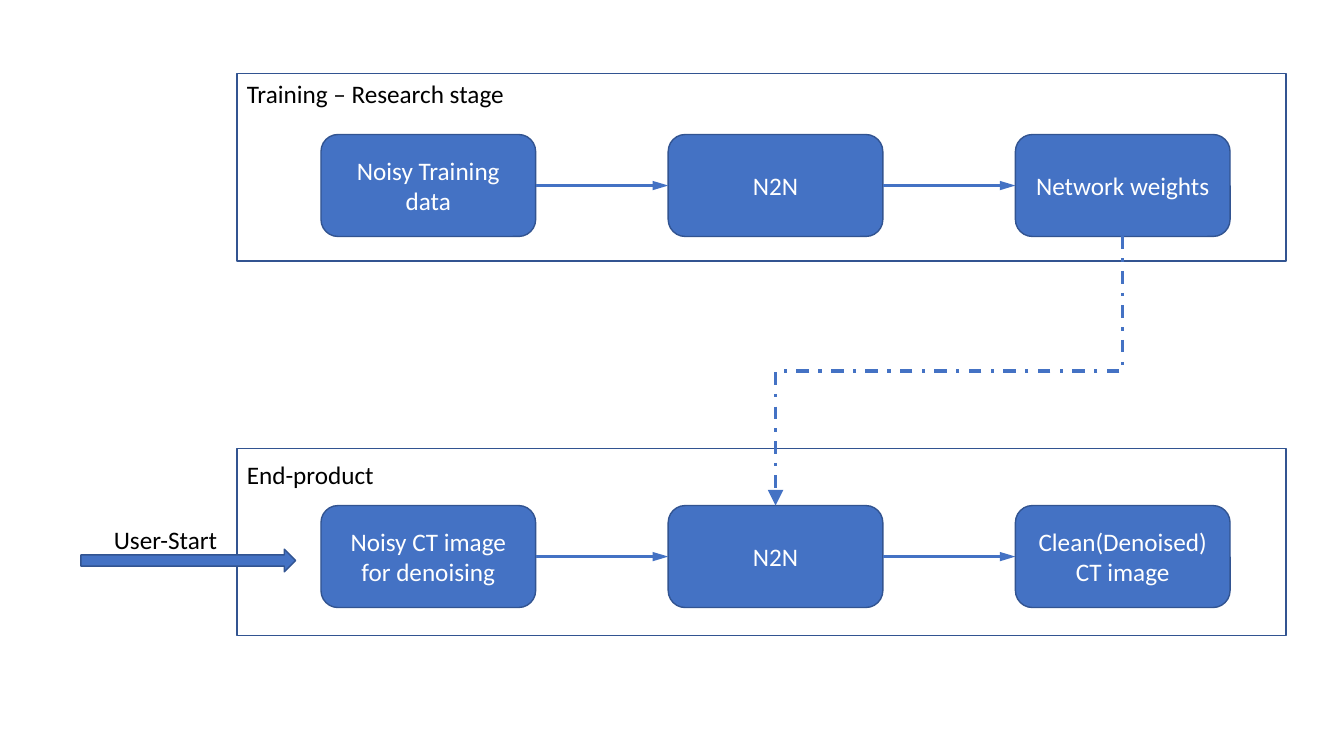
from lxml.etree import SubElement
from pptx import Presentation
from pptx.dml.color import RGBColor
from pptx.enum.dml import MSO_LINE
from pptx.enum.shapes import MSO_CONNECTOR, MSO_SHAPE
from pptx.enum.text import MSO_ANCHOR, MSO_AUTO_SIZE, PP_ALIGN
from pptx.oxml.ns import qn
from pptx.util import Cm, Pt

BLUE, EDGE, WHITE, BLACK = "4472C4", "325491", "FFFFFF", "000000"
BOX_LEFT, BOX_WIDTH, BOX_HEIGHT, BOX_PITCH = 8.09, 5.41, 2.57, 8.75
PANEL_LEFT, PANEL_WIDTH, PANEL_HEIGHT = 5.97, 26.44, 4.72
TOP, LEFT, BOTTOM, RIGHT = range(4)  # connection sites of a box


def write(shape, text, color, align):
    """Put one 18 pt paragraph into a shape."""
    shape.text_frame.word_wrap = True
    para = shape.text_frame.paragraphs[0]
    para.alignment = align
    span = para.add_run()
    span.text = text
    span.font.color.rgb = RGBColor.from_string(color)
    for name, value in {"name": "Calibri", "size": Pt(18)}.items():
        setattr(span.font, name, value)


def link(kind, start, start_site, end, end_site, head_width):
    """Join two boxes with an arrow."""
    arrow = page.shapes.add_connector(kind, 0, 0, 0, 0)
    arrow.begin_connect(start, start_site)
    arrow.end_connect(end, end_site)
    arrow.line.color.rgb = RGBColor.from_string(BLUE)
    arrow.line.width = Pt(2.25)
    SubElement(arrow.line._get_or_add_ln(), qn("a:tailEnd"),
               type="triangle", w=head_width, len="lg")
    SubElement(arrow.element.spPr, qn("a:effectLst"))
    return arrow


deck = Presentation()
deck.slide_width, deck.slide_height = Cm(33.87), Cm(19.05)
page = deck.slides.add_slide(deck.slide_layouts[6])

# Stages: panel top, box top, box texts
stages = [
    (1.86, 3.39, ["Noisy Training data", "N2N", "Network weights"]),
    (11.3, 12.74, ["Noisy CT image for denoising", "N2N", "Clean(Denoised) CT image"]),
]
outlined = []
rows = []
for panel_top, box_top, texts in stages:
    panel = page.shapes.add_shape(MSO_SHAPE.RECTANGLE, Cm(PANEL_LEFT), Cm(panel_top),
                                  Cm(PANEL_WIDTH), Cm(PANEL_HEIGHT))
    panel.fill.background()
    outlined.append(panel)

    boxes = []
    for column, text in enumerate(texts):
        box = page.shapes.add_shape(MSO_SHAPE.ROUNDED_RECTANGLE,
                                    Cm(BOX_LEFT + column * BOX_PITCH), Cm(box_top),
                                    Cm(BOX_WIDTH), Cm(BOX_HEIGHT))
        box.fill.solid()
        box.fill.fore_color.rgb = RGBColor.from_string(BLUE)
        box.text_frame.vertical_anchor = MSO_ANCHOR.MIDDLE
        write(box, text, WHITE, PP_ALIGN.CENTER)
        boxes.append(box)
    for start, end in zip(boxes, boxes[1:]):
        link(MSO_CONNECTOR.STRAIGHT, start, RIGHT, end, LEFT, "med")
    outlined += boxes
    rows.append(boxes)

# Trained weights feed the network of the end product
weights, network = rows[0][2], rows[1][1]
feed = link(MSO_CONNECTOR.ELBOW, weights, BOTTOM, network, TOP, "lg")
feed.line.dash_style = MSO_LINE.DASH_DOT
# The elbow leaves downwards: lay it out on its side, then turn it by 90 degrees
drop = network.top - weights.top - weights.height
span_width = weights.left - network.left
center_x = (weights.left + network.left + weights.width) // 2
center_y = (weights.top + weights.height + network.top) // 2
frame = feed.element.spPr.find(qn("a:xfrm"))
frame.attrib.clear()
frame.set("rot", str(90 * 60000))
feed.left, feed.top = center_x - drop // 2, center_y - span_width // 2
feed.width, feed.height = drop, span_width

user_arrow = page.shapes.add_shape(MSO_SHAPE.RIGHT_ARROW, Cm(2.04), Cm(13.84),
                                   Cm(BOX_WIDTH), Cm(0.57))
user_arrow.fill.solid()
user_arrow.fill.fore_color.rgb = RGBColor.from_string(BLUE)
outlined.append(user_arrow)

for shape in outlined:
    shape.shadow.inherit = False
    shape.line.color.rgb = RGBColor.from_string(EDGE)
    shape.line.width = Pt(1)

labels = [
    ("Training – Research stage", PANEL_LEFT, 1.86, 7.54),
    ("End-product", PANEL_LEFT, 11.45, 3.96),
    ("User-Start", 2.62, 13.1, 3.96),
]
for text, left, top, width in labels:
    label = page.shapes.add_textbox(Cm(left), Cm(top), Cm(width), Cm(1.03))
    label.text_frame.auto_size = MSO_AUTO_SIZE.SHAPE_TO_FIT_TEXT
    write(label, text, BLACK, PP_ALIGN.LEFT)

deck.save("out.pptx")
